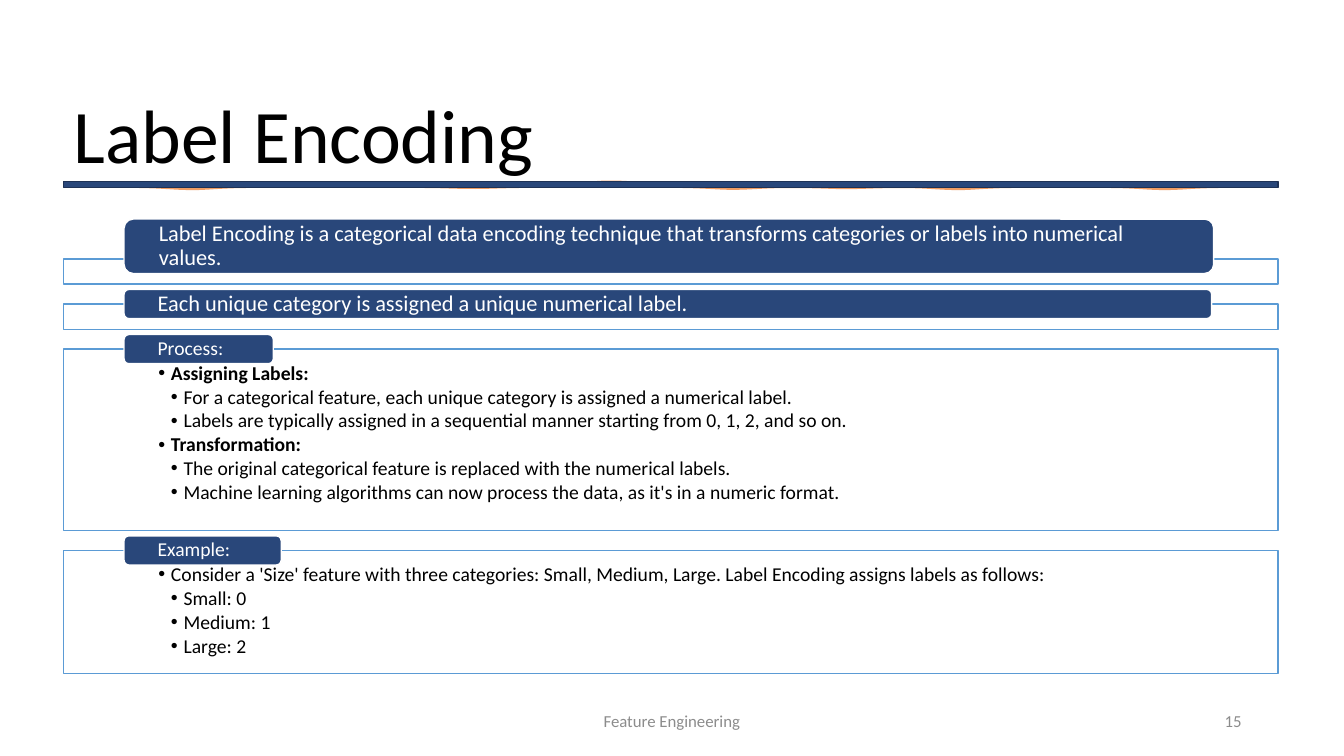
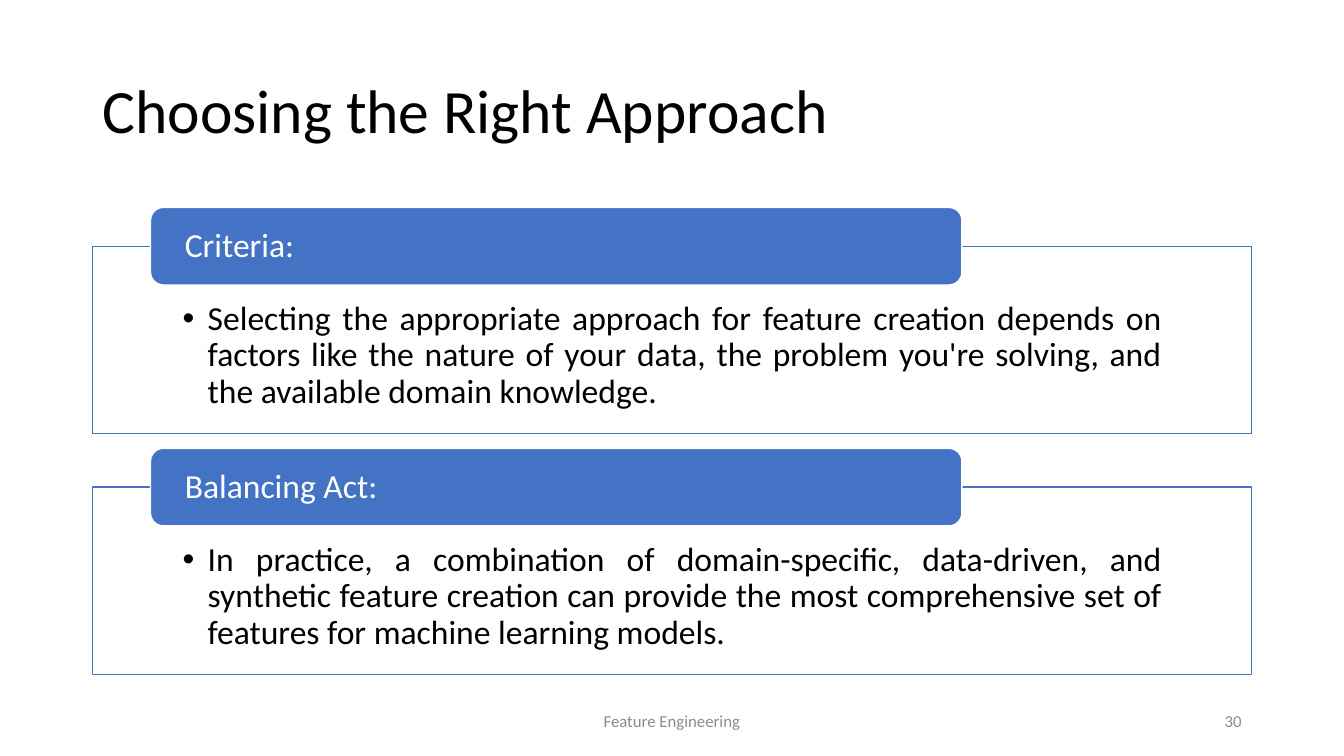
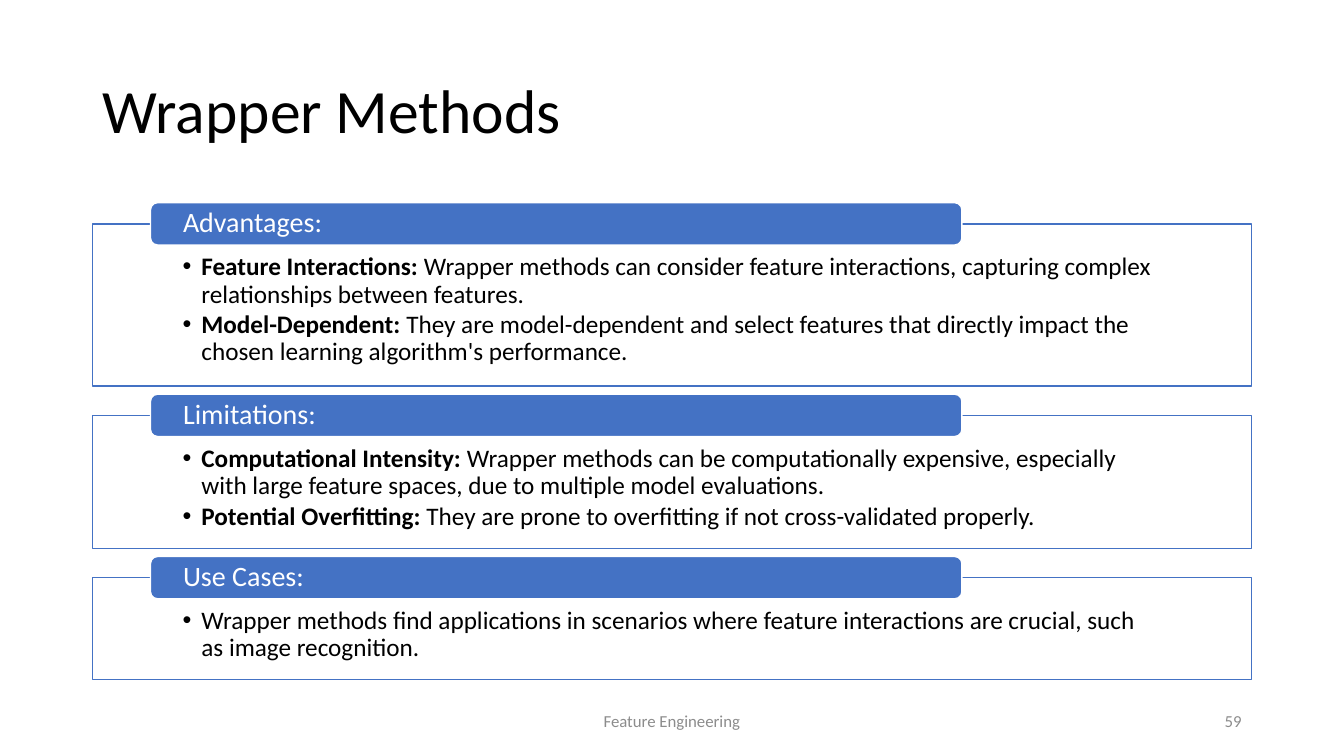
from dataclasses import dataclass
from math import exp

from lxml.etree import SubElement
from pptx import Presentation
from pptx.dml.color import RGBColor
from pptx.enum.shapes import MSO_SHAPE as Preset
from pptx.enum.text import MSO_ANCHOR as Anchor, PP_ALIGN as Align
from pptx.oxml.ns import qn
from pptx.util import Pt


@dataclass(frozen=True)
class Theme:
    font: str = "Calibri"
    ink: str = "000000"
    paper: str = "FFFFFF"
    muted: str = "8C8C8C"
    navy: str = "29477A"
    navy_edge: str = "1E3256"
    sky: str = "5B9BD5"
    blue: str = "4472C4"
    orange: str = "ED7D31"
    title_large: int = 54
    title: int = 44
    footer: int = 12
    line_spacing: float = 0.9
    after_ratio: float = 0.135


@dataclass(frozen=True)
class ListStyle:
    left: float
    width: float
    head_left: float
    head_inset: float
    overlap: float
    gap: float
    body_insets: tuple
    body_size: int
    indent: float
    head_fill: str
    edge: str
    align: Align = Align.LEFT


@dataclass(frozen=True)
class Section:
    heading: str
    head_size: int
    head_width: float
    head_height: float
    body_height: float
    items: tuple = ()


def assign(target, values):
    for name, value in values.items():
        setattr(target, name, value)


class SlideBuilder:
    def __init__(self, deck, theme):
        self.deck = deck
        self.theme = theme
        self.page = None

    def new_page(self, title, number, frame, size, anchor):
        self.page = self.deck.slides.add_slide(self.deck.slide_layouts[6])
        self.label(title, frame, size, self.theme.ink, Align.LEFT, anchor, self.theme.line_spacing)
        for text, left, width, align in (
            ("Feature Engineering", 318, 324, Align.CENTER),
            (number, 678, 216, Align.RIGHT),
        ):
            self.label(text, (left, 500.5, width, 28.8), self.theme.footer, self.theme.muted, align, Anchor.MIDDLE)

    def label(self, text, frame, size, color, align, anchor, spacing=1.0):
        box = self.page.shapes.add_textbox(*map(Pt, frame))
        assign(box.text_frame, {"word_wrap": True, "vertical_anchor": anchor})
        para = box.text_frame.paragraphs[0]
        assign(para, {"alignment": align, "line_spacing": spacing})
        self.span(para, text, size, color)

    def span(self, para, text, size, color, bold=False):
        span = para.add_run()
        span.text = text
        assign(span.font, {"name": self.theme.font, "size": Pt(size), "bold": bold})
        span.font.color.rgb = RGBColor.from_string(color)

    def shape(self, preset, frame, fill, edge):
        box = self.page.shapes.add_shape(preset, *map(Pt, frame))
        box.shadow.inherit = False
        box.fill.solid()
        box.fill.fore_color.rgb = RGBColor.from_string(fill)
        box.line.color.rgb = RGBColor.from_string(edge)
        box.line.width = Pt(1)
        return box

    def text_area(self, box, anchor, side, top=0, bottom=0):
        assign(box.text_frame, {
            "word_wrap": True, "vertical_anchor": anchor,
            "margin_left": Pt(side), "margin_right": Pt(side),
            "margin_top": Pt(top), "margin_bottom": Pt(bottom),
        })
        return box.text_frame

    def bullet(self, para, level, style):
        properties = para._p.get_or_add_pPr()
        properties.set("marL", str(Pt(style.indent * level)))
        properties.set("indent", str(-Pt(style.indent)))
        SubElement(properties, qn("a:buFont")).set("typeface", "Arial")
        SubElement(properties, qn("a:buChar")).set("char", "•")
        assign(para, {
            "alignment": style.align,
            "line_spacing": self.theme.line_spacing,
            "space_after": Pt(style.body_size * self.theme.after_ratio),
        })

    def body(self, section, top, style):
        frame = (style.left, top, style.width, section.body_height)
        box = self.shape(Preset.RECTANGLE, frame, self.theme.paper, style.edge)
        area = self.text_area(box, Anchor.TOP, *style.body_insets)
        for index, (level, lead, rest) in enumerate(section.items):
            para = area.add_paragraph() if index else area.paragraphs[0]
            self.bullet(para, level, style)
            for text, bold in ((lead, True), (rest, False)):
                if text:
                    self.span(para, text, style.body_size, self.theme.ink, bold)

    def heading(self, section, top, style):
        frame = (style.head_left, top + style.overlap - section.head_height,
                 section.head_width, section.head_height)
        box = self.shape(Preset.ROUNDED_RECTANGLE, frame, style.head_fill, self.theme.paper)
        area = self.text_area(box, Anchor.MIDDLE, style.head_inset)
        para = area.paragraphs[0]
        assign(para, {"alignment": Align.LEFT, "line_spacing": self.theme.line_spacing})
        self.span(para, section.heading, section.head_size, self.theme.paper)

    def sections(self, top, style, sections):
        for section in sections:
            self.body(section, top, style)
            self.heading(section, top, style)
            top += section.body_height + style.gap

    def sketched_rule(self, left, right, middle, bumps):
        points = [
            (Pt(x), Pt(middle + sum(rise * exp(-((x - center) / 22) ** 2) for center, rise in bumps)))
            for x in range(left, right + 1, 6)
        ]
        builder = self.page.shapes.build_freeform(*points[0], scale=1.0)
        builder.add_line_segments(points[1:], close=False)
        stroke = builder.convert_to_shape()
        stroke.shadow.inherit = False
        stroke.fill.background()
        stroke.line.width = Pt(3.5)
        stroke.line.color.rgb = RGBColor.from_string(self.theme.orange)
        color = stroke.line._ln.find(".//" + qn("a:srgbClr"))
        SubElement(color, qn("a:alpha")).set("val", "75000")


def label_encoding(builder):
    theme = builder.theme
    style = ListStyle(45.4, 867.6, 88.6, 23, 10.4, 14.2, (67.7, 10.1, 7.9), 14, 9, theme.navy, theme.sky)
    builder.new_page("Label Encoding", "15", (45.4, 18.7, 867.6, 113), theme.title_large, Anchor.BOTTOM)
    builder.sketched_rule(46, 909, 132.5, (
        (137, 1.6), (338, 0.8), (437, -1.8), (524, 1.4), (605, 0.9), (684, 1.6), (832, 1.6),
    ))
    builder.sections(185, style, (
        Section("Label Encoding is a categorical data encoding technique that transforms categories or labels into numerical values.",
                16, 778.3, 38.9, 18),
        Section("Each unique category is assigned a unique numerical label.", 16, 776.9, 20.8, 18),
        Section("Process:", 14, 106.6, 20.8, 129.6, (
            (1, "Assigning Labels:", ""),
            (2, "", "For a categorical feature, each unique category is assigned a numerical label."),
            (2, "", "Labels are typically assigned in a sequential manner starting from 0, 1, 2, and so on."),
            (1, "Transformation:", ""),
            (2, "", "The original categorical feature is replaced with the numerical labels."),
            (2, "", "Machine learning algorithms can now process the data, as it's in a numeric format."),
        )),
        Section("Example:", 14, 112.3, 20.8, 87.8, (
            (1, "", "Consider a 'Size' feature with three categories: Small, Medium, Large. Label Encoding assigns labels as follows:"),
            (2, "", "Small: 0"),
            (2, "", "Medium: 1"),
            (2, "", "Large: 2"),
        )),
    ))
    builder.shape(Preset.RECTANGLE, (45.4, 129.8, 867.6, 4.3), theme.navy, theme.navy_edge)


TITLE_FRAME = (66.2, 28.8, 828, 104.4)
HEAD_WIDTH = 579.6


def right_approach(builder):
    theme = builder.theme
    style = ListStyle(66.2, 828, 107.5, 21.8, 27.7, 38.2, (64.2, 39.6, 13.7), 24, 18,
                      theme.blue, theme.blue, Align.JUSTIFY)
    builder.new_page("Choosing the Right Approach", "30", TITLE_FRAME, theme.title, Anchor.MIDDLE)
    builder.sections(175.9, style, [
        Section(heading, 24, HEAD_WIDTH, 55.4, 133.9, ((1, "", text),))
        for heading, text in (
            ("Criteria:", "Selecting the appropriate approach for feature creation depends on factors like the nature of your data, the problem you're solving, and the available domain knowledge."),
            ("Balancing Act:", "In practice, a combination of domain-specific, data-driven, and synthetic feature creation can provide the most comprehensive set of features for machine learning models."),
        )
    ])


def wrapper_methods(builder):
    theme = builder.theme
    style = ListStyle(66.2, 828, 107.5, 21.8, 15.1, 20.9, (64.2, 21.6, 10.1), 18, 13.5, theme.blue, theme.blue)
    builder.new_page("Wrapper Methods", "59", TITLE_FRAME, theme.title, Anchor.MIDDLE)
    builder.sections(159.9, style, [
        Section(heading, 20, HEAD_WIDTH, 30.2, height, items)
        for heading, height, items in (
            ("Advantages:", 115.9, (
                (1, "Feature Interactions: ", "Wrapper methods can consider feature interactions, capturing complex relationships between features."),
                (1, "Model-Dependent: ", "They are model-dependent and select features that directly impact the chosen learning algorithm's performance."),
            )),
            ("Limitations:", 95, (
                (1, "Computational Intensity: ", "Wrapper methods can be computationally expensive, especially with large feature spaces, due to multiple model evaluations."),
                (1, "Potential Overfitting: ", "They are prone to overfitting if not cross-validated properly."),
            )),
            ("Use Cases:", 72.7, (
                (1, "", "Wrapper methods find applications in scenarios where feature interactions are crucial, such as image recognition."),
            )),
        )
    ])


def main():
    deck = Presentation()
    assign(deck, {"slide_width": Pt(960), "slide_height": Pt(540)})
    builder = SlideBuilder(deck, Theme())
    for build in (label_encoding, right_approach, wrapper_methods):
        build(builder)
    deck.save("out.pptx")


if __name__ == "__main__":
    main()
